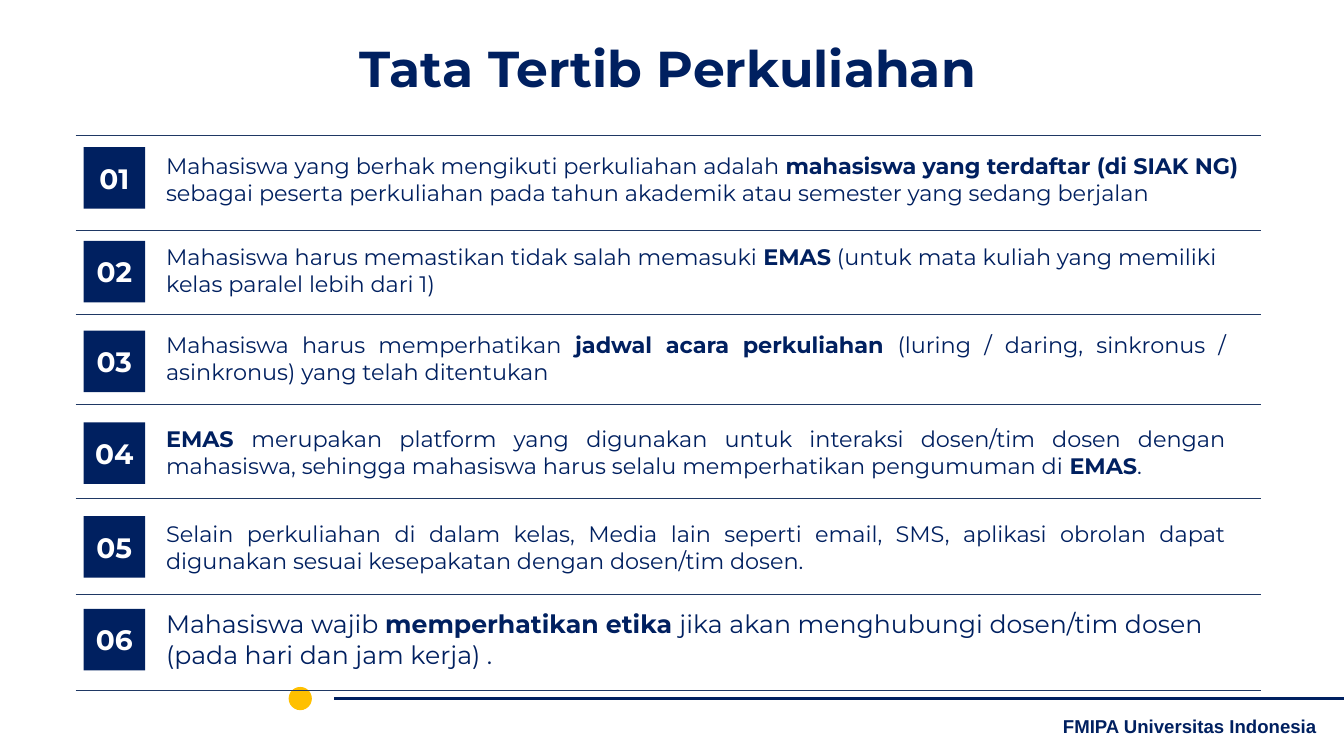
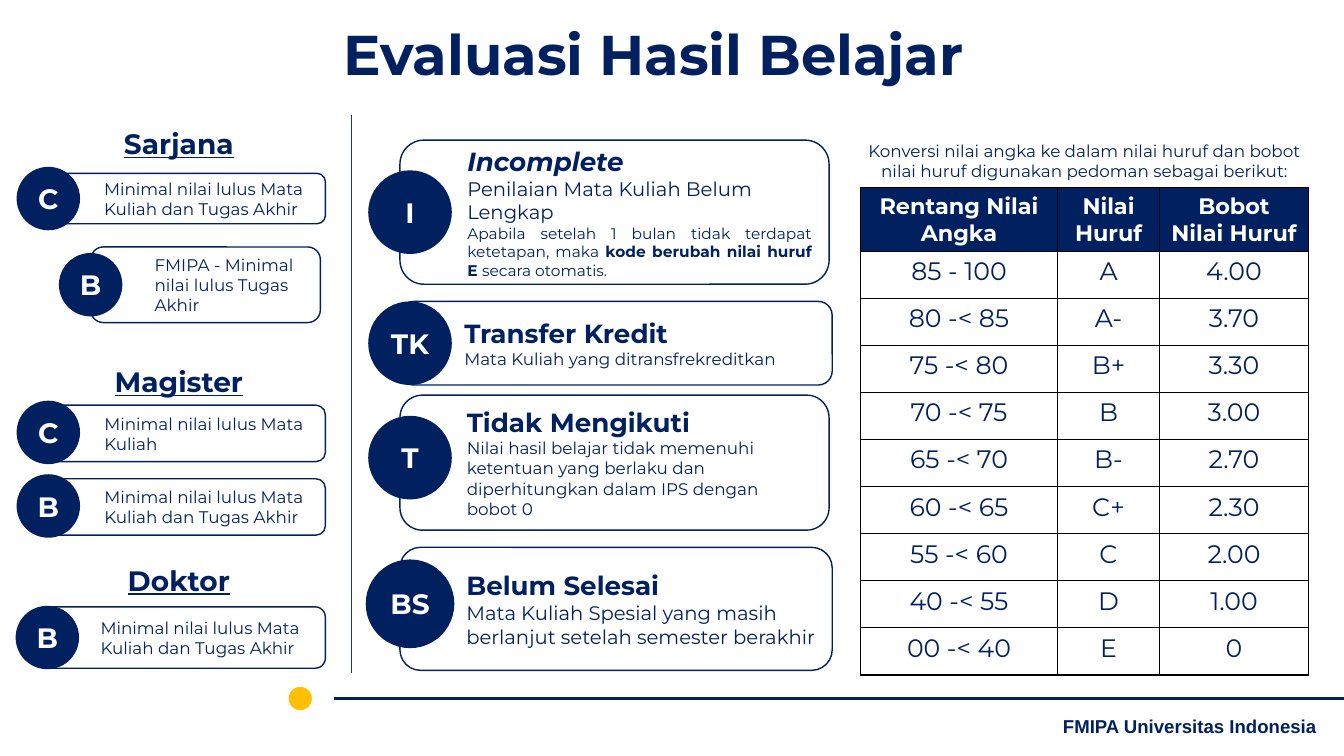
from pptx import Presentation
from pptx.dml.color import RGBColor
from pptx.enum.shapes import MSO_CONNECTOR, MSO_SHAPE
from pptx.enum.text import MSO_ANCHOR, MSO_AUTO_SIZE, PP_ALIGN
from pptx.oxml.ns import qn
from pptx.util import Inches, Pt
from lxml.etree import SubElement

NAVY = RGBColor(0x00, 0x20, 0x60)
STEEL = RGBColor(0x1F, 0x38, 0x64)
GOLD = RGBColor(0xFF, 0xC0, 0x00)
WHITE = RGBColor(0xFF, 0xFF, 0xFF)
FONT = "Montserrat"
LEFT, MID, JUST = PP_ALIGN.LEFT, PP_ALIGN.CENTER, PP_ALIGN.JUSTIFY

# line, badge and text heights below the top of the list, then size, alignment, text
RULES = [
    (0, 0.12, 0.12, 16, LEFT,
     "Mahasiswa yang berhak mengikuti perkuliahan adalah *mahasiswa yang terdaftar "
     "(di SIAK NG) *sebagai peserta perkuliahan pada tahun akademik atau semester "
     "yang sedang berjalan"),
    (0.95, 1.05, 1.02, 16, LEFT,
     "Mahasiswa harus memastikan tidak salah memasuki *EMAS* (untuk mata kuliah "
     "yang memiliki kelas paralel lebih dari 1)"),
    (1.78, 1.94, 1.9, 16, JUST,
     "Mahasiswa harus memperhatikan *jadwal acara perkuliahan *(luring / daring, "
     "sinkronus / asinkronus) yang telah ditentukan"),
    (2.67, 2.85, 2.83, 16, JUST,
     "*EMAS *merupakan platform yang digunakan untuk interaksi dosen/tim dosen dengan "
     "mahasiswa, sehingga mahasiswa harus selalu memperhatikan pengumuman di *EMAS*."),
    (3.61, 3.78, 3.77, 16, JUST,
     "Selain perkuliahan di dalam kelas, Media lain seperti email, SMS, aplikasi obrolan "
     "dapat digunakan sesuai kesepakatan dengan dosen/tim dosen."),
    (4.56, 4.7, 4.65, 18, LEFT,
     "Mahasiswa wajib *memperhatikan etika *jika akan menghubungi dosen/tim dosen "
     "(pada hari dan jam kerja) ."),
]

# heading and its height below the top of the column
LEVELS = [("Sarjana", 0), ("Magister", 2.36), ("Doktor", 4.33)]

# box, disc centre from the middle of the box's left edge, code, text
PASSES = [
    ((0.25, 0.68, 2.82, 0.5), (0.07, 0), "C",
     "Minimal nilai lulus Mata Kuliah dan Tugas Akhir"),
    ((0.74, 1.41, 2.28, 0.75), (0, 0), "B", "FMIPA - Minimal nilai lulus Tugas Akhir"),
    ((0.25, 2.98, 2.82, 0.56), (0.07, -0.01), "C", "Minimal nilai lulus Mata Kuliah"),
    ((0.25, 3.71, 2.82, 0.56), (0.07, -0.01), "B",
     "Minimal nilai lulus Mata Kuliah dan Tugas Akhir"),
    ((0.21, 4.98, 2.86, 0.61), (0.1, 0), "B",
     "Minimal nilai lulus Mata Kuliah dan Tugas Akhir"),
]

# top, width, height, disc shift, disc size, code, heading, lines
CODES = [
    (0, 4.26, 1.43, 0, 0.83, "I", "Incomplete",
     [("Penilaian Mata Kuliah Belum Lengkap", 14, LEFT),
      ("Apabila setelah 1 bulan tidak terdapat ketetapan, maka "
       "*kode berubah nilai huruf E *secara otomatis.", 11, JUST)]),
    (1.6, 4.29, 0.83, 0, 0.83, "TK", "Transfer Kredit",
     [("Mata Kuliah yang ditransfrekreditkan", 12, LEFT)]),
    (2.53, 4.26, 1.34, -0.05, 0.83, "T", "Tidak Mengikuti",
     [("Nilai hasil belajar tidak memenuhi ketentuan yang berlaku dan "
       "diperhitungkan dalam IPS dengan bobot 0", 12, LEFT)]),
    (4.04, 4.29, 1.22, -0.05, 0.88, "BS", "Belum Selesai",
     [("Mata Kuliah Spesial yang masih berlanjut setelah semester berakhir", 14, LEFT)]),
]

GRADES = [
    ("Rentang Nilai Angka", "Nilai Huruf", "Bobot Nilai Huruf"),
    ("85 - 100", "A", "4.00"),
    ("80 -< 85", "A-", "3.70"),
    ("75 -< 80", "B+", "3.30"),
    ("70 -< 75", "B", "3.00"),
    ("65 -< 70", "B-", "2.70"),
    ("60 -< 65", "C+", "2.30"),
    ("55 -< 60", "C", "2.00"),
    ("40 -< 55", "D", "1.00"),
    ("00 -< 40", "E", "0"),
]


def inches(*nums):
    return [Inches(num) for num in nums]


def style(font, size, color=NAVY, bold=False, name=FONT):
    font.name, font.size, font.bold = name, Pt(size), bold
    font.color.rgb = color


def write(par, text, size, align=LEFT, color=NAVY, bold=False, name=FONT):
    """Fill a paragraph; parts between asterisks turn bold."""
    par.alignment = align
    for num, part in enumerate(text.split("*")):
        if part:
            run = par.add_run()
            run.text = part
            style(run.font, size, color, bold or num % 2 == 1, name)


def label(slide, box, text, size, align=LEFT, bold=False):
    frame = slide.shapes.add_textbox(*inches(*box)).text_frame
    frame.word_wrap = True
    write(frame.paragraphs[0], text, size, align, bold=bold)
    return frame.paragraphs[0]


def line(slide, x1, y1, x2, y2, color=STEEL, width=0.75):
    rule = slide.shapes.add_connector(MSO_CONNECTOR.STRAIGHT, *inches(x1, y1, x2, y2))
    rule.line.color.rgb, rule.line.width = color, Pt(width)
    SubElement(rule.element.spPr, qn("a:effectLst"))
    return rule


def badge(slide, kind, box, text):
    shape = slide.shapes.add_shape(kind, *inches(*box))
    shape.shadow.inherit = False
    shape.fill.solid()
    shape.fill.fore_color.rgb = NAVY
    shape.line.fill.background()
    frame = shape.text_frame
    frame.word_wrap = False
    frame.margin_left = frame.margin_right = 0
    frame.vertical_anchor = MSO_ANCHOR.MIDDLE
    write(frame.paragraphs[0], text, 20, MID, WHITE, True)


def card(slide, box, shift, disc, code, lines):
    """Rounded box with a coded disc on its left edge."""
    left, top, _, height = box
    shape = slide.shapes.add_shape(MSO_SHAPE.ROUNDED_RECTANGLE, *inches(*box))
    shape.shadow.inherit = False
    shape.fill.background()
    shape.line.color.rgb, shape.line.width = NAVY, Pt(1)
    frame = shape.text_frame
    frame.word_wrap = True
    frame.vertical_anchor = MSO_ANCHOR.MIDDLE
    for num, (text, size, align) in enumerate(lines):
        par = frame.add_paragraph() if num else frame.paragraphs[0]
        par._p.get_or_add_pPr().set("marL", str(Inches(0.5)))
        write(par, text, size, align)
    x = left + shift[0] - disc / 2
    y = top + height / 2 + shift[1] - disc / 2
    badge(slide, MSO_SHAPE.OVAL, (x, y, disc, disc), code)
    return frame


def footer(slide, layout):
    """Draw the footer and hand it to the layout, so every slide shows it."""
    rule = line(slide, 3.32, 6.93, 13.34, 6.93, NAVY, 1.5)
    dot = slide.shapes.add_shape(MSO_SHAPE.OVAL, *inches(2.87, 6.82, 0.22, 0.22))
    dot.shadow.inherit = False
    dot.fill.solid()
    dot.fill.fore_color.rgb = dot.line.color.rgb = GOLD
    dot.line.width = Pt(0.75)
    note = slide.shapes.add_textbox(*inches(10.28, 7.08, 3.06, 0.25))
    frame = note.text_frame
    frame.word_wrap = True
    frame.vertical_anchor = MSO_ANCHOR.MIDDLE
    write(frame.paragraphs[0], "FMIPA Universitas Indonesia", 13.3, MID,
          bold=True, name="Arial")
    for part in (rule, dot, note):
        layout.shapes.element.append(part.element)


def start(deck, layout, text, box, size):
    slide = deck.slides.add_slide(layout)
    title = slide.shapes.title
    title.left, title.top, title.width, title.height = inches(*box)
    frame = title.text_frame
    frame.auto_size = MSO_AUTO_SIZE.NONE
    frame.vertical_anchor = MSO_ANCHOR.TOP
    write(frame.paragraphs[0], text, size, MID, bold=True)
    return slide


def rules(slide, left, top, width, height):
    for num, (edge, mark, words, size, align, text) in enumerate(RULES, 1):
        line(slide, left, top + edge, left + width, top + edge)
        badge(slide, MSO_SHAPE.RECTANGLE, (left + 0.08, top + mark, 0.61, 0.61), f"{num:02}")
        wide = 10.72 if align == JUST else 10.95
        label(slide, (left + 0.8, top + words, wide, 0.64), text, size, align)
    line(slide, left, top + height, left + width, top + height)


def passes(slide, left, top):
    for text, drop in LEVELS:
        par = label(slide, (left + 0.74, top + drop, 1.75, 0.61), text, 20, MID, True)
        par.line_spacing = 1.5
        par.runs[0].font.underline = True
    for (x, y, width, height), shift, code, text in PASSES:
        card(slide, (left + x, top + y, width, height), shift, 0.63, code,
             [(text, 12, LEFT)])


def codes(slide, left, top):
    for drop, width, height, shift, disc, code, head, lines in CODES:
        frame = card(slide, (left, top + drop, width, height), (0.1, shift), disc, code,
                     [(f"*{head}*", 18.7, LEFT)] + lines)
        if code == "I":
            frame.paragraphs[0].runs[0].font.italic = True


def border(cell):
    props = cell._tc.get_or_add_tcPr()
    for num, side in enumerate(("lnL", "lnR", "lnT", "lnB")):
        edge = props.makeelement(qn(f"a:{side}"), {"w": str(Pt(1))})
        fill = SubElement(edge, qn("a:solidFill"))
        SubElement(fill, qn("a:srgbClr"), val="000000")
        props.insert(num, edge)


def grades(slide, left, top, width):
    label(slide, (left - 0.09, top - 0.51, width + 0.18, 0.5),
          "Konversi nilai angka ke dalam nilai huruf dan bobot nilai huruf "
          "digunakan pedoman sebagai berikut:", 12, MID)
    table = slide.shapes.add_table(len(GRADES), 3, *inches(left, top, width, 4.82)).table
    table.horz_banding = table.first_row = False
    for col, part in zip(table.columns, (0.44, 0.227, 0.333)):
        col.width = Inches(width * part)
    for num, texts in enumerate(GRADES):
        table.rows[num].height = Inches(0.467 if num else 0.63)
        for cell, text in zip(table.rows[num].cells, texts):
            par = cell.text_frame.paragraphs[0]
            if num:
                cell.fill.background()
                write(par, text, 18, MID)
            else:
                cell.fill.solid()
                cell.fill.fore_color.rgb = NAVY
                cell.vertical_anchor = MSO_ANCHOR.MIDDLE
                write(par, text, 16, MID, WHITE, True)
            border(cell)


def main():
    deck = Presentation()
    deck.slide_width, deck.slide_height = inches(13.34, 7.5)
    layout = deck.slide_layouts[5]

    slide = start(deck, layout, "Tata Tertib Perkuliahan", (0.4, 0.32, 12.46, 0.71), 36)
    footer(slide, layout)
    rules(slide, 0.75, 1.34, 11.77, 5.51)

    slide = start(deck, layout, "Evaluasi Hasil Belajar", (2.65, 0.14, 7.67, 0.77), 40)
    passes(slide, 0.16, 1.04)
    line(slide, 3.49, 1.14, 3.49, 6.68)
    codes(slide, 3.97, 1.39)
    grades(slide, 8.54, 1.86, 4.45)

    deck.save("out.pptx")


if __name__ == "__main__":
    main()
